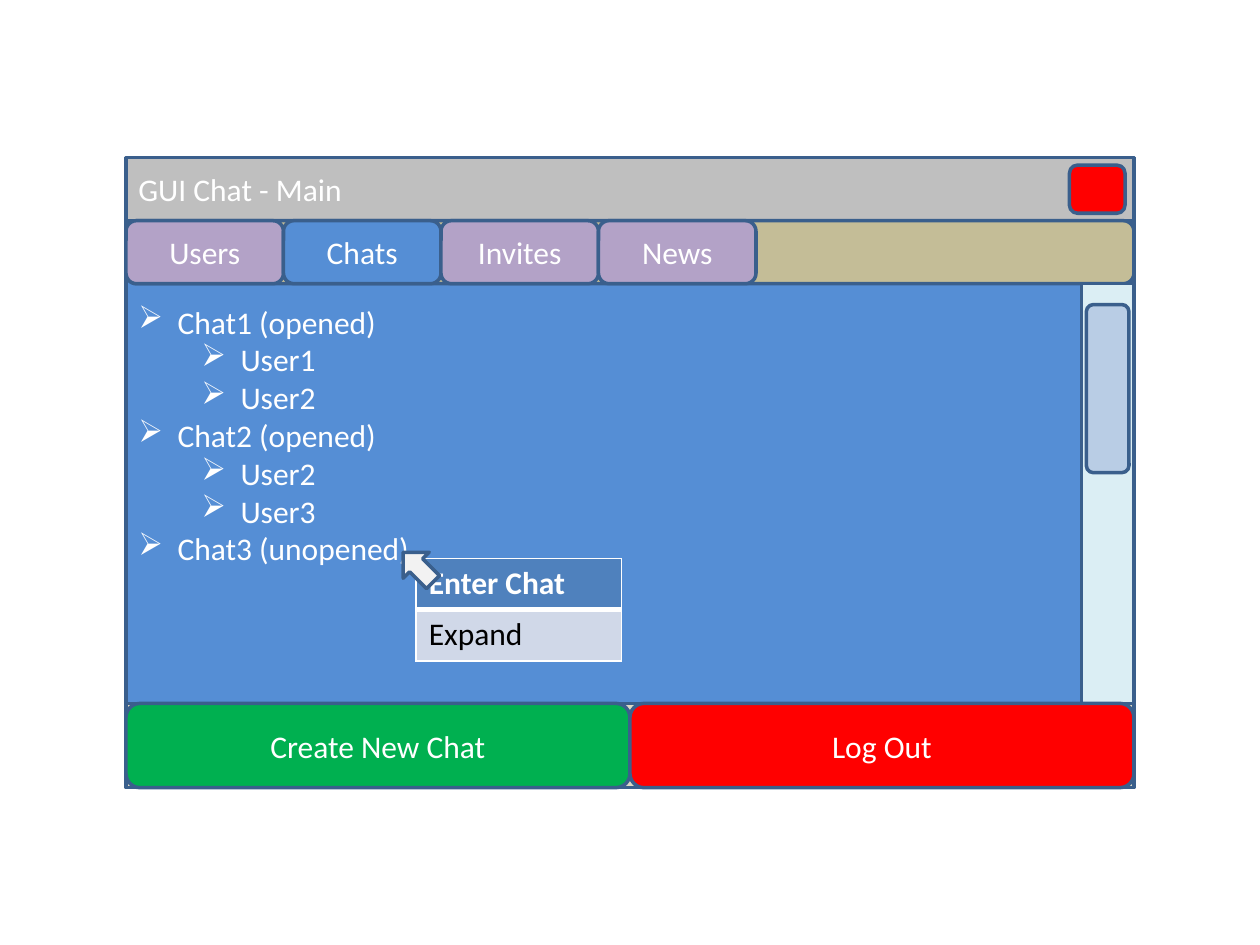
from lxml import etree
from pptx import Presentation
from pptx.dml.color import RGBColor
from pptx.enum.shapes import MSO_SHAPE
from pptx.enum.text import MSO_ANCHOR, PP_ALIGN
from pptx.oxml.ns import qn
from pptx.util import Cm, Pt

RECT, ROUND, UP = MSO_SHAPE.RECTANGLE, MSO_SHAPE.ROUNDED_RECTANGLE, MSO_SHAPE.UP_ARROW
TOP, MIDDLE = MSO_ANCHOR.TOP, MSO_ANCHOR.MIDDLE
LEFT, CENTER = PP_ALIGN.LEFT, PP_ALIGN.CENTER

BLUE, LILAC, RED, GREEN = "558ED5", "B3A2C7", "FF0000", "00B050"
WHITE, BLACK, OUTLINE = "FFFFFF", "000000", "3A5F8C"

TITLE = "GUI Chat - Main"
TABS = [("Users", LILAC), ("Chats", BLUE), ("Invites", LILAC), ("News", LILAC)]
CHATS = [
    ("Chat1 (opened)", ["User1", "User2"]),
    ("Chat2 (opened)", ["User2", "User3"]),
    ("Chat3 (unopened)", []),
]
BUTTONS = [("Create New Chat", GREEN), ("Log Out", RED)]
MENU = [
    ("Enter Chat", "4F81BD", WHITE, True, {"L": 1, "R": 1, "T": 1, "B": 3}),
    ("Expand", "D0D8E8", BLACK, False, {"L": 1, "R": 1, "T": 3, "B": 1}),
]

WIN_X, WIN_Y, WIN_W, WIN_H = 2.54, 3.18, 20.32, 12.7
BAR_H, FOOT_H, SCROLL_W = 1.27, 1.7, 1.06
TAB_W = WIN_W / 6.4
BUTTON_W = WIN_W / len(BUTTONS)
TAB_Y = WIN_Y + BAR_H
BODY_Y = TAB_Y + BAR_H
FOOT_Y = WIN_Y + WIN_H - FOOT_H
SCROLL_X = WIN_X + WIN_W - SCROLL_W


def rgb(color):
    return RGBColor.from_string(color)


def set_font(p, color, bold=False):
    p.font.name = "Calibri"
    p.font.size = Pt(18)
    p.font.bold = bold
    p.font.color.rgb = rgb(color)


def add_box(s, kind, x, y, w, h, fill, text="", align=CENTER):
    sp = s.shapes.add_shape(kind, Cm(x), Cm(y), Cm(w), Cm(h))
    sp.shadow.inherit = False
    sp.fill.solid()
    sp.fill.fore_color.rgb = rgb(fill)
    sp.line.color.rgb = rgb(OUTLINE)
    sp.line.width = Pt(2)
    if text:
        tf = sp.text_frame
        tf.vertical_anchor = MIDDLE
        p = tf.paragraphs[0]
        p.text = text
        p.alignment = align
        set_font(p, WHITE)
    return sp


def add_bullet(p, text, level):
    p.text = text
    p.level = level
    p.alignment = LEFT
    set_font(p, WHITE)
    pPr = p._p.get_or_add_pPr()
    pPr.set("marL", str(Cm(0.79 + 1.27 * level)))
    pPr.set("indent", str(Cm(-0.79)))
    bullet = etree.Element(qn("a:buChar"), char="➢")
    pPr.insert_element_before(bullet, "a:tabLst", "a:defRPr", "a:extLst")


def add_chats(sp):
    tf = sp.text_frame
    tf.vertical_anchor = TOP
    tf.margin_top = Cm(1.65)
    items = []
    for chat, users in CHATS:
        items += [(chat, 0)] + [(user, 1) for user in users]
    for i, (text, level) in enumerate(items):
        p = tf.add_paragraph() if i else tf.paragraphs[0]
        add_bullet(p, text, level)


def set_borders(cell, widths):
    tcPr = cell._tc.get_or_add_tcPr()
    for i, (side, width) in enumerate(widths.items()):
        ln = etree.Element(qn(f"a:ln{side}"), w=str(Pt(width)))
        solid = etree.SubElement(ln, qn("a:solidFill"))
        etree.SubElement(solid, qn("a:srgbClr"), val=WHITE)
        tcPr.insert(i, ln)


def add_menu(s, x, y, w, row_h):
    table = s.shapes.add_table(len(MENU), 1, Cm(x), Cm(y), Cm(w), Cm(row_h * len(MENU))).table
    for i, (text, fill, color, bold, borders) in enumerate(MENU):
        cell = table.cell(i, 0)
        cell.text = text
        cell.fill.solid()
        cell.fill.fore_color.rgb = rgb(fill)
        set_font(cell.text_frame.paragraphs[0], color, bold)
        set_borders(cell, borders)


def main():
    prs = Presentation()
    prs.slide_width, prs.slide_height = Cm(25.4), Cm(19.05)
    s = prs.slides.add_slide(prs.slide_layouts[6])

    add_box(s, RECT, WIN_X, WIN_Y, WIN_W, WIN_H, "DDD9C3")
    add_box(s, RECT, WIN_X, WIN_Y, WIN_W, BAR_H, "BFBFBF", TITLE, LEFT)
    add_box(s, ROUND, 21.56, 3.33, 1.12, 0.97, RED)
    add_chats(add_box(s, RECT, WIN_X, TAB_Y, WIN_W, FOOT_Y - TAB_Y, BLUE))

    add_box(s, ROUND, WIN_X, TAB_Y, WIN_W, BAR_H, "C4BD97")
    for i, (text, fill) in enumerate(TABS):
        add_box(s, ROUND, WIN_X + i * TAB_W, TAB_Y, TAB_W, BAR_H, fill, text)

    add_box(s, RECT, SCROLL_X, BODY_Y, SCROLL_W, FOOT_Y - BODY_Y, "DBEEF4")
    add_box(s, ROUND, SCROLL_X + 0.1, BODY_Y + 0.42, SCROLL_W - 0.2, 3.39, "B9CDE5")
    for i, (text, fill) in enumerate(BUTTONS):
        add_box(s, ROUND, WIN_X + i * BUTTON_W, FOOT_Y, BUTTON_W, FOOT_H, fill, text)

    add_menu(s, 8.39, 11.26, 4.14, 1.03)
    pointer = add_box(s, UP, 8.06, 11.01, 0.74, 0.85, "F2F2F2")
    pointer.rotation = -45

    prs.save("out.pptx")


if __name__ == "__main__":
    main()
